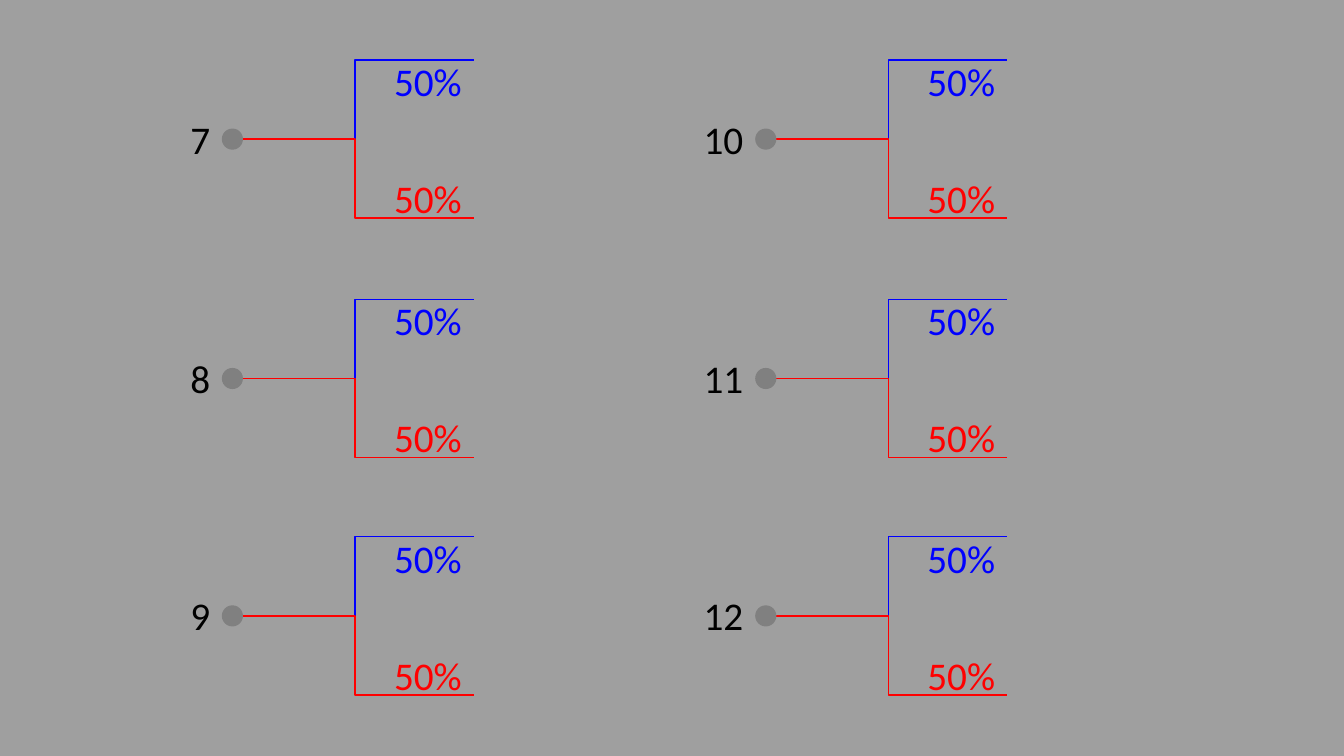
from itertools import product

from pptx import Presentation
from pptx import util as u
from pptx.dml.color import RGBColor
from pptx.enum import shapes, text
from pptx.oxml.ns import qn
from lxml import etree

COLORS = {"background": "9F9F9F", "upper": "0000FF", "lower": "FF0000",
          "node": "808080", "number": "000000"}


class Canvas:
    """Holds the style, the slide and the group being filled."""
    font, size, line_width = "Calibri", u.Pt(28), u.Pt(1)

    def __init__(self, slide):
        self.slide = slide
        self.group = None
        self.fill(slide.background.fill, "background")

    def fill(self, fill, color):
        fill.solid()
        fill.fore_color.rgb = RGBColor.from_string(COLORS[color])

    def start_group(self):
        self.group = self.slide.shapes.add_group_shape().shapes

    def elbow(self, x1, y1, x2, y2, color):
        sp = self.group.add_connector(
            shapes.MSO_CONNECTOR.ELBOW, *map(u.Inches, (x1, y1, x2, y2)))
        sp.line.width = self.line_width
        self.fill(sp.line.fill, color)
        etree.SubElement(sp._element.spPr, qn("a:effectLst"))

    def dot(self, x, y, d, color):
        sp = self.group.add_shape(
            shapes.MSO_SHAPE.OVAL, *map(u.Inches, (x, y, d, d)))
        sp.shadow.inherit = False
        self.fill(sp.fill, color)
        sp.line.fill.background()

    def label(self, x, y, w, h, words, color):
        sp = self.group.add_textbox(*map(u.Inches, (x, y, w, h)))
        tf = sp.text_frame
        tf.word_wrap = False
        tf.auto_size = text.MSO_AUTO_SIZE.SHAPE_TO_FIT_TEXT
        r = tf.paragraphs[0].add_run()
        r.text = words
        r.font.name, r.font.size = self.font, self.size
        self.fill(r.font.fill, color)


prs = Presentation()
prs.slide_width, prs.slide_height = u.Inches(13.33), u.Inches(7.5)
s = prs.slides.add_slide(prs.slide_layouts[6])
canvas = Canvas(s)

# Forks run down the first column, then the second
FORK_X, FORK_Y = (2.34, 7.63), (1.38, 3.755, 6.11)
REACH, RISE = 2.36, 0.785
DOT, LABEL_H = 0.21, 0.57
LABEL_DY = {"upper": -0.86, "lower": 0.3}
NUMBER_W = {1: 0.4, 2: 0.6}

for number, (x, y) in enumerate(product(FORK_X, FORK_Y), start=7):
    canvas.start_group()

    # Branches and their shares
    for side, sign in (("upper", -1), ("lower", 1)):
        canvas.elbow(x, y, x + REACH, y + sign * RISE, side)
    for side, dy in LABEL_DY.items():
        canvas.label(x + 1.47, y + dy, 0.88, LABEL_H, "50%", side)

    # Node and its number, which ends just left of the node
    canvas.dot(x - 0.14, y - DOT / 2, DOT, "node")
    digits = str(number)
    w = NUMBER_W[len(digits)]
    canvas.label(x - 0.15 - w, y - 0.29, w, LABEL_H, digits, "number")

prs.save("out.pptx")
